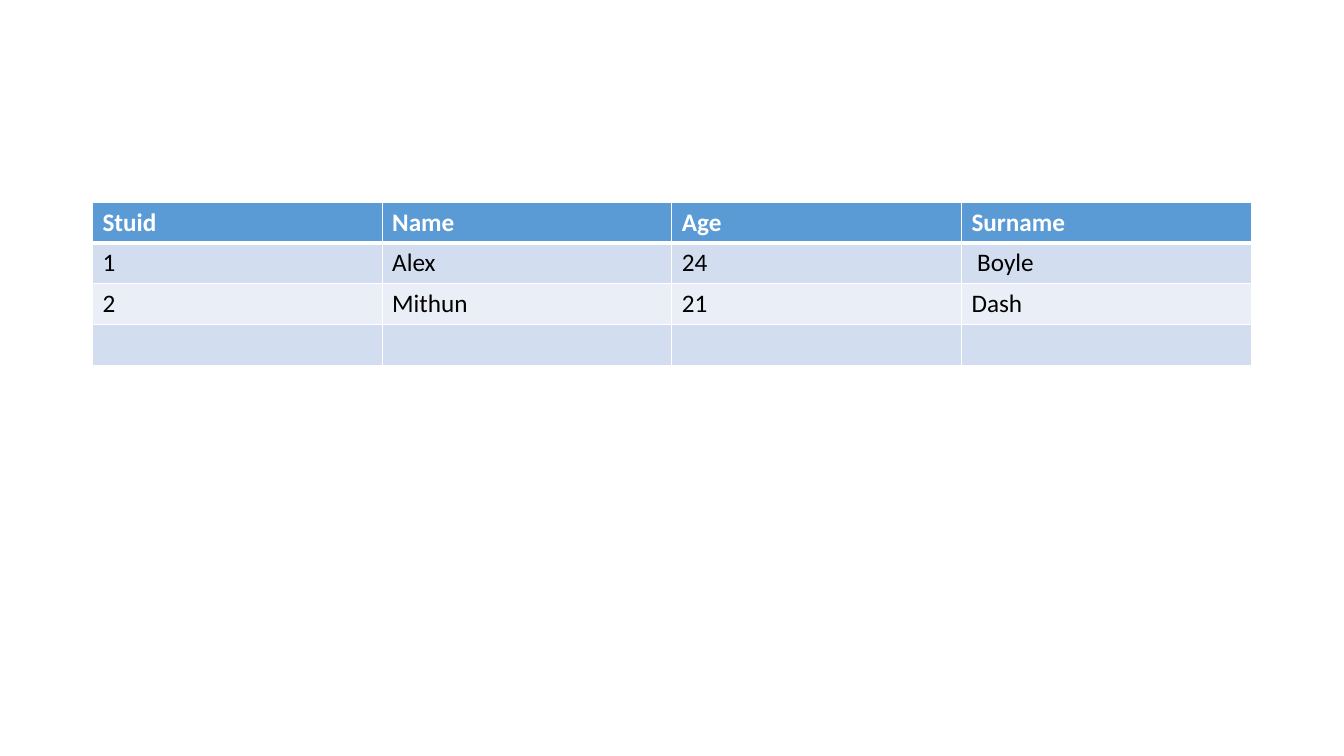
"""Build a slide with a small student table."""
from lxml import etree
from pptx import Presentation
from pptx.dml.color import RGBColor
from pptx.oxml.ns import qn
from pptx.util import Cm, Pt

HEADINGS = ("Stuid", "Name", "Age", "Surname")
STUDENTS = (
    ("1", "Alex", "24", " Boyle"),
    ("2", "Mithun", "21", "Dash"),
    ("", "", "", ""),
)
WHITE = RGBColor(0xFF, 0xFF, 0xFF)
BLACK = RGBColor(0, 0, 0)
HEADER_BLUE = RGBColor(0x5B, 0x9B, 0xD5)
BANDS = (RGBColor(0xD2, 0xDE, 0xEF), RGBColor(0xEA, 0xEF, 0xF7))
LEFT, TOP = Cm(2.33), Cm(5.09)
COLUMN_WIDTH, ROW_HEIGHT = Cm(7.3), Cm(1.03)
THIN, THICK = Pt(1), Pt(3)


def add_border(cell, side, width):
    """Draw one white edge of a cell."""
    properties = cell._tc.get_or_add_tcPr()
    line = etree.SubElement(properties, qn(f"a:ln{side}"), w=str(width))
    solid = etree.SubElement(line, qn("a:solidFill"))
    etree.SubElement(solid, qn("a:srgbClr"), val=str(WHITE))


def fill_cell(cell, text, row):
    """Style a cell by its row and write its text."""
    is_header = row == 0
    edges = {
        "L": THIN,
        "R": THIN,
        "T": THICK if row == 1 else THIN,
        "B": THICK if is_header else THIN,
    }
    for side, width in edges.items():
        add_border(cell, side, width)
    cell.fill.solid()
    cell.fill.fore_color.rgb = HEADER_BLUE if is_header else BANDS[(row - 1) % 2]
    if text:
        span = cell.text_frame.paragraphs[0].add_run()
        span.text = text
        span.font.name = "Calibri"
        span.font.size = Pt(18)
        span.font.bold = is_header
        span.font.color.rgb = WHITE if is_header else BLACK


deck = Presentation()
deck.slide_width, deck.slide_height = Cm(33.87), Cm(19.05)
page = deck.slides.add_slide(deck.slide_layouts[6])

records = (HEADINGS, *STUDENTS)
student_table = page.shapes.add_table(
    len(records), len(HEADINGS), LEFT, TOP,
    COLUMN_WIDTH * len(HEADINGS), ROW_HEIGHT * len(records),
).table
for column in student_table.columns:
    column.width = COLUMN_WIDTH
for row, record in enumerate(records):
    student_table.rows[row].height = ROW_HEIGHT
    for column, text in enumerate(record):
        fill_cell(student_table.cell(row, column), text, row)

deck.save("out.pptx")
